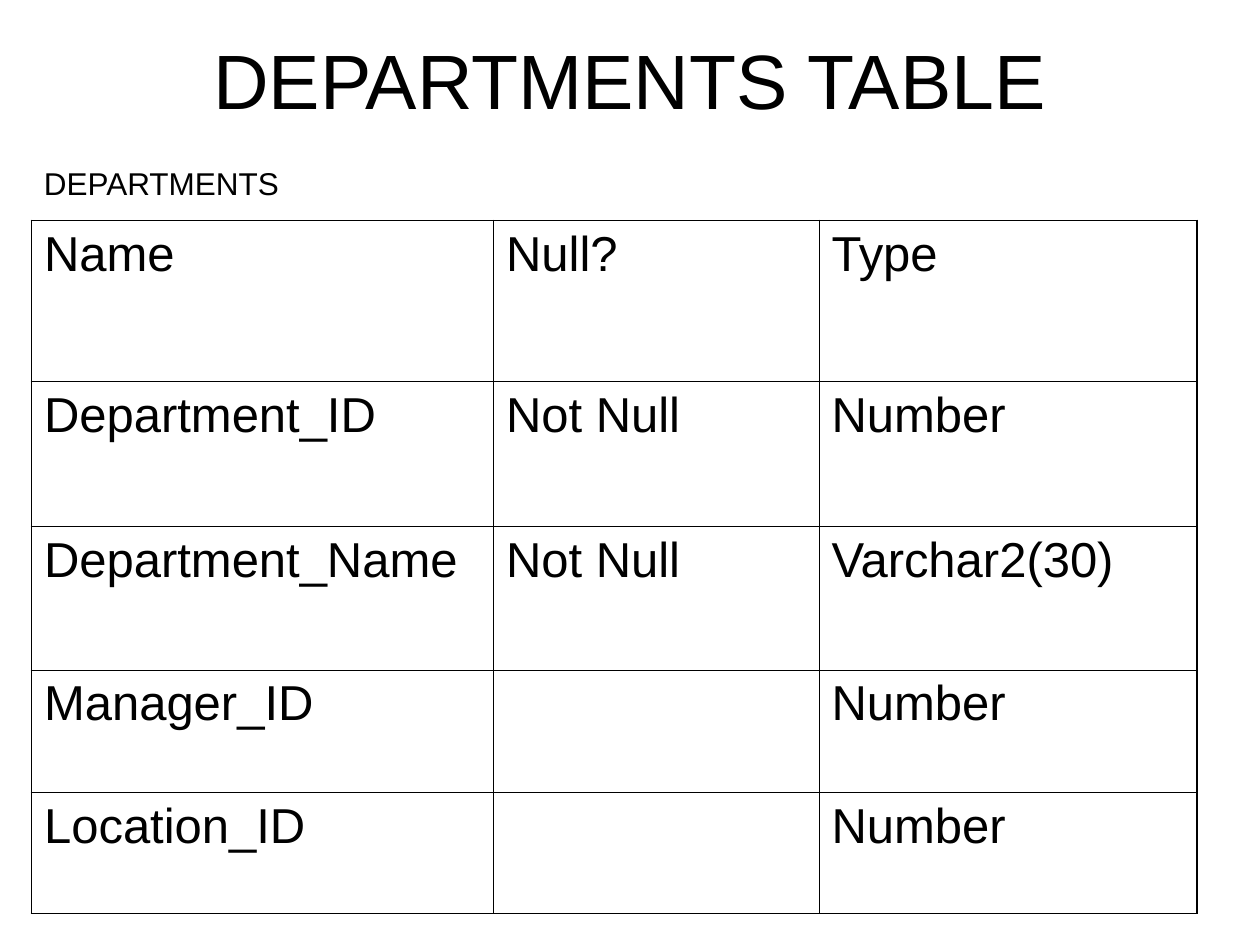
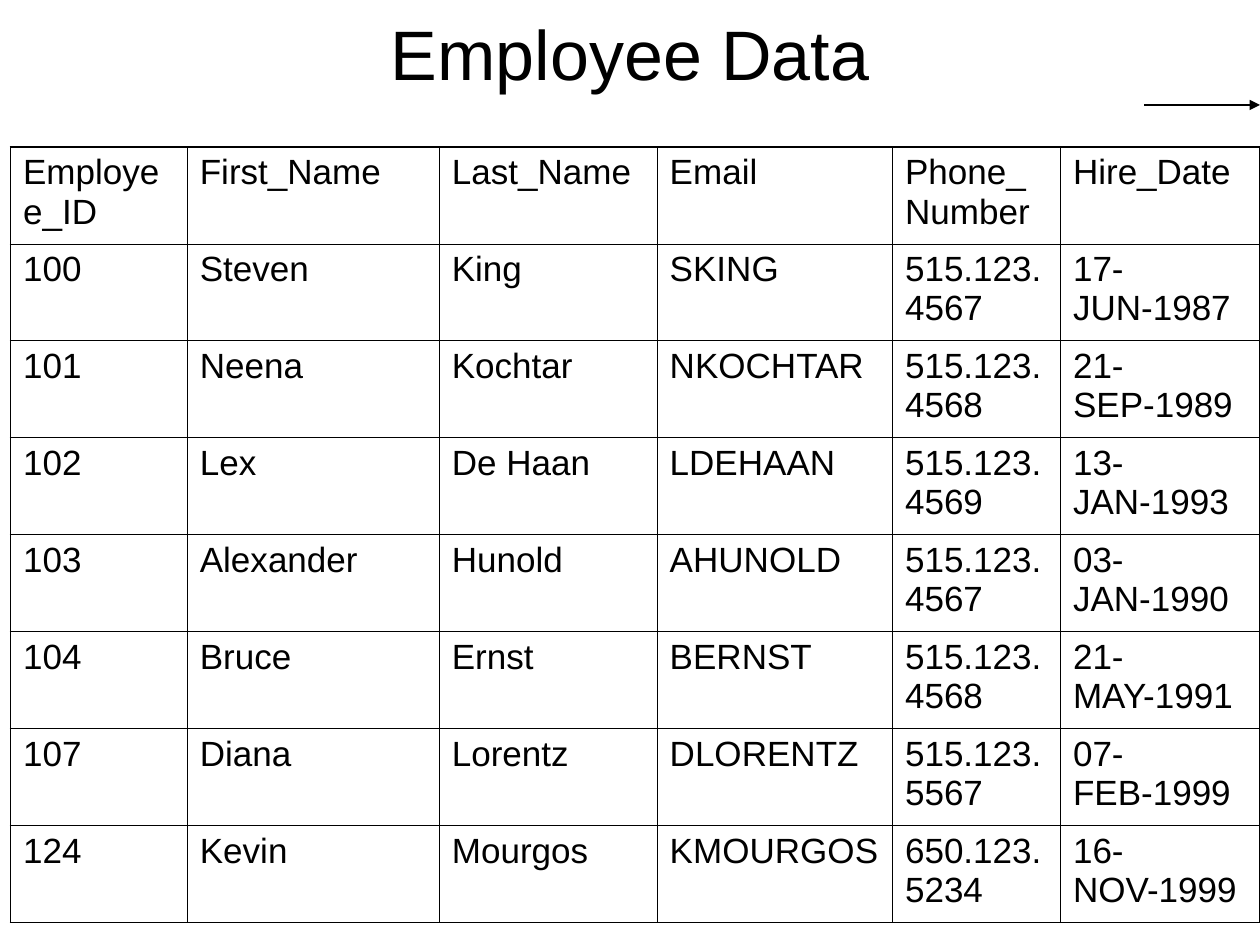
"""Build two slides: the departments table definition and the employee data."""
from dataclasses import dataclass

from lxml.etree import SubElement
from pptx import Presentation
from pptx.dml.color import RGBColor
from pptx.enum.shapes import MSO_CONNECTOR
from pptx.enum.text import MSO_ANCHOR, MSO_AUTO_SIZE, PP_ALIGN
from pptx.oxml.ns import qn
from pptx.util import Pt

DEPARTMENTS = {
    "title": "DEPARTMENTS TABLE",
    "title_box": (36, 0, 648, 90),
    "title_size": 44,
    "origin": (18, 126),
    "cols": [264, 186, 216],
    "rows": [92, 83, 82, 70, 69],
    "cell_size": 28,
    "cells": [
        ("Name", "Null?", "Type"),
        ("Department_ID", "Not Null", "Number"),
        ("Department_Name", "Not Null", "Varchar2(30)"),
        ("Manager_ID", "", "Number"),
        ("Location_ID", "", "Number"),
    ],
}
EMPLOYEES = {
    "title": "Employee Data",
    "title_box": (36, 6, 648, 48),
    "title_size": 40,
    "origin": (6, 84),
    "cols": [101, 144, 124.5, 134.5, 96, 114],
    "rows": [55.4] * 8,
    "cell_size": 20,
    "cells": [
        ("Employee_ID", "First_Name", "Last_Name", "Email", "Phone_Number", "Hire_Date"),
        ("100", "Steven", "King", "SKING", "515.123.4567", "17-JUN-1987"),
        ("101", "Neena", "Kochtar", "NKOCHTAR", "515.123.4568", "21-SEP-1989"),
        ("102", "Lex", "De Haan", "LDEHAAN", "515.123.4569", "13-JAN-1993"),
        ("103", "Alexander", "Hunold", "AHUNOLD", "515.123.4567", "03-JAN-1990"),
        ("104", "Bruce", "Ernst", "BERNST", "515.123.4568", "21-MAY-1991"),
        ("107", "Diana", "Lorentz", "DLORENTZ", "515.123.5567", "07-FEB-1999"),
        ("124", "Kevin", "Mourgos", "KMOURGOS", "650.123.5234", "16-NOV-1999"),
    ],
}
TABLE_LABEL = ("DEPARTMENTS", (18, 90, 150.5, 29))
ARROW = (654, 60, 720, 60)


@dataclass(frozen=True)
class Theme:
    """Colours, font, type sizes and line widths."""
    ink: RGBColor = RGBColor(0, 0, 0)
    font: str = "Arial"
    label_size: int = 18
    outer_line: float = 1.08
    inner_line: float = 0.45
    arrow_line: float = 0.75


THEME = Theme()


def style_text(tf, size):
    """Give every run the theme font and colour at one size."""
    for p in tf.paragraphs:
        for r in p.runs:
            r.font.name = THEME.font
            r.font.size = Pt(size)
            r.font.color.rgb = THEME.ink


def set_borders(cell, outer):
    """Draw four cell borders, heavier on the sides named in outer."""
    tc_pr = cell._tc.get_or_add_tcPr()
    for side in "LRTB":
        width = THEME.outer_line if side in outer else THEME.inner_line
        ln = SubElement(tc_pr, qn(f"a:ln{side}"), w=str(Pt(width)))
        fill = SubElement(ln, qn("a:solidFill"))
        SubElement(fill, qn("a:srgbClr"), val=str(THEME.ink))


def add_title(slide, data):
    """Place the centred title."""
    sp = slide.shapes.title
    sp.left, sp.top, sp.width, sp.height = map(Pt, data["title_box"])
    tf = sp.text_frame
    tf.text = data["title"]
    tf.auto_size = MSO_AUTO_SIZE.NONE
    tf.vertical_anchor = MSO_ANCHOR.MIDDLE
    tf.paragraphs[0].alignment = PP_ALIGN.CENTER
    style_text(tf, data["title_size"])


def add_grid(slide, data):
    """Add the plain ruled table."""
    cols, rows = data["cols"], data["rows"]
    box = (*data["origin"], sum(cols), sum(rows))
    table = slide.shapes.add_table(len(rows), len(cols), *map(Pt, box)).table
    table.first_row = table.horz_banding = False
    for col, width in zip(table.columns, cols):
        col.width = Pt(width)
    for row, height in zip(table.rows, rows):
        row.height = Pt(height)
    for i, values in enumerate(data["cells"]):
        for j, value in enumerate(values):
            cell = table.cell(i, j)
            cell.text = value
            style_text(cell.text_frame, data["cell_size"])
            edges = {"L": j == 0, "R": j == len(cols) - 1,
                     "T": i == 0, "B": i == len(rows) - 1}
            set_borders(cell, [side for side, on_edge in edges.items() if on_edge])
            cell.fill.background()


def add_label(slide, text, box):
    """Add the table name above the grid."""
    tf = slide.shapes.add_textbox(*map(Pt, box)).text_frame
    tf.text = text
    tf.word_wrap = False
    tf.auto_size = MSO_AUTO_SIZE.SHAPE_TO_FIT_TEXT
    style_text(tf, THEME.label_size)


def add_arrow(slide, ends):
    """Add the arrow that points past the last column."""
    arrow = slide.shapes.add_connector(MSO_CONNECTOR.STRAIGHT, *map(Pt, ends))
    arrow.line.color.rgb = THEME.ink
    arrow.line.width = Pt(THEME.arrow_line)
    SubElement(arrow.line._get_or_add_ln(), qn("a:tailEnd"), type="triangle")
    SubElement(arrow._element.spPr, qn("a:effectLst"))


def add_table_slide(prs, data):
    """Add a slide with a title and a table."""
    slide = prs.slides.add_slide(prs.slide_layouts.get_by_name("Title Only"))
    add_title(slide, data)
    add_grid(slide, data)
    return slide


def main():
    """Build and save the presentation."""
    prs = Presentation()
    prs.slide_width, prs.slide_height = Pt(720), Pt(540)
    add_label(add_table_slide(prs, DEPARTMENTS), *TABLE_LABEL)
    add_arrow(add_table_slide(prs, EMPLOYEES), ARROW)
    prs.save("out.pptx")


if __name__ == "__main__":
    main()
